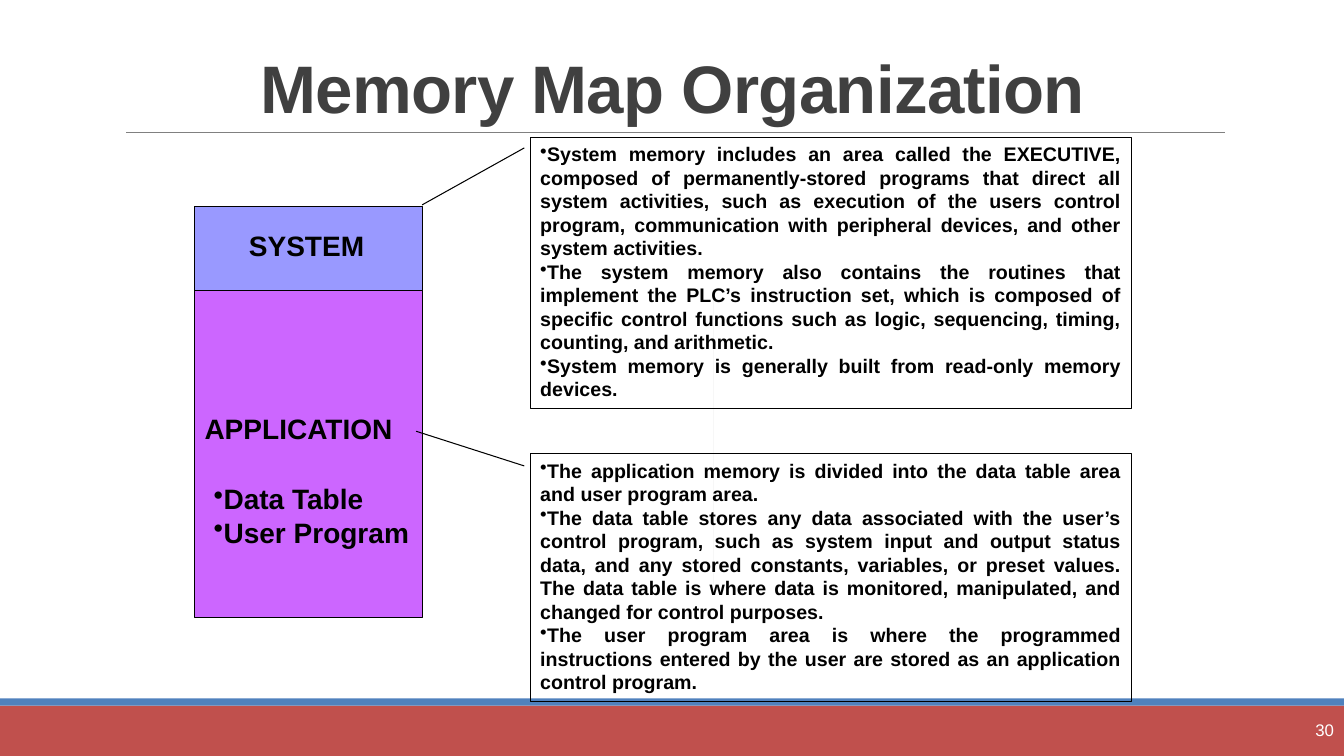
from dataclasses import dataclass

from lxml import etree
from pptx import Presentation
from pptx.dml.color import RGBColor
from pptx.enum.shapes import MSO_CONNECTOR, MSO_SHAPE
from pptx.enum.text import MSO_ANCHOR, MSO_AUTO_SIZE, PP_ALIGN
from pptx.oxml.ns import qn
from pptx.util import Inches, Pt

RECTANGLE = MSO_SHAPE.RECTANGLE
CALLOUT = MSO_SHAPE.LINE_CALLOUT_1
STRAIGHT = MSO_CONNECTOR.STRAIGHT
TOP, MIDDLE, BOTTOM = MSO_ANCHOR.TOP, MSO_ANCHOR.MIDDLE, MSO_ANCHOR.BOTTOM
FIXED, GROW = MSO_AUTO_SIZE.NONE, MSO_AUTO_SIZE.SHAPE_TO_FIT_TEXT
CENTER, RIGHT, JUSTIFY = PP_ALIGN.CENTER, PP_ALIGN.RIGHT, PP_ALIGN.JUSTIFY
TITLE_ONLY = 5


@dataclass(frozen=True)
class Theme:
    font: str = "Arial"
    title_size: float = 48
    label_size: float = 20
    note_size: float = 14
    number_size: float = 12
    title: str = "404040"
    text: str = "000000"
    number: str = "FFFFFF"
    outline: str = "000000"
    rule: str = "808080"
    sliver: str = "C0C0C0"
    footer: str = "C0504D"
    footer_edge: str = "4F81BD"
    system: str = "9999FF"
    application: str = "CC66FF"


class SlideBuilder:
    def __init__(self, slide, theme):
        self.slide = slide
        self.theme = theme

    def set_text(self, tf, lines, size, color, align=JUSTIFY, bold=True, bullets=False):
        tf.text = "\n".join(lines)
        for p in tf.paragraphs:
            p.alignment = align
            if bullets:
                pPr = p._p.get_or_add_pPr()
                pPr.set("marL", "0")
                pPr.set("indent", "0")
                etree.SubElement(pPr, qn("a:buChar")).set("char", "•")
            for r in p.runs:
                r.font.name = self.theme.font
                r.font.size = Pt(size)
                r.font.bold = bold
                r.font.color.rgb = RGBColor.from_string(color)

    def title(self, text, left, top, width, height):
        sp = self.slide.shapes.title
        sp.left, sp.top = Inches(left), Inches(top)
        sp.width, sp.height = Inches(width), Inches(height)
        tf = sp.text_frame
        tf.vertical_anchor = BOTTOM
        tf.auto_size = FIXED
        self.set_text(tf, [text], self.theme.title_size, self.theme.title, CENTER)
        p = tf.paragraphs[0]
        p.line_spacing = 0.85
        p.runs[0]._r.get_or_add_rPr().set("spc", "-50")

    def shape(self, kind, left, top, width, height, fill=None, outlined=True):
        sp = self.slide.shapes.add_shape(
            kind, Inches(left), Inches(top), Inches(width), Inches(height))
        self.paint(sp, fill, outlined)
        return sp

    def paint(self, sp, fill, outlined):
        sp.shadow.inherit = False
        if fill:
            sp.fill.solid()
            sp.fill.fore_color.rgb = RGBColor.from_string(fill)
        else:
            sp.fill.background()
        if outlined:
            sp.line.color.rgb = RGBColor.from_string(self.theme.outline)
            sp.line.width = Pt(0.75)
        else:
            sp.line.fill.background()

    def rule(self, left, right, y):
        line = self.slide.shapes.add_connector(
            STRAIGHT, Inches(left), Inches(y), Inches(right), Inches(y))
        line.line.color.rgb = RGBColor.from_string(self.theme.rule)
        line.line.width = Pt(0.5)
        etree.SubElement(line._element.spPr, qn("a:effectLst"))

    def sliver(self, x, top, bottom):
        """Draw a filled outline that has no width."""
        builder = self.slide.shapes.build_freeform(Inches(x), Inches(top))
        builder.add_line_segments(
            [(Inches(x), Inches(y)) for y in (bottom, bottom - 0.01)], close=True)
        self.paint(builder.convert_to_shape(), self.theme.sliver, False)

    def label(self, lines, left, top, width, height, bullets=False):
        box = self.slide.shapes.add_textbox(
            Inches(left), Inches(top), Inches(width), Inches(height))
        tf = box.text_frame
        tf.word_wrap = False
        tf.auto_size = GROW
        self.set_text(tf, lines, self.theme.label_size, self.theme.text, bullets=bullets)

    def page_number(self, text, left, top, width, height):
        box = self.slide.shapes.add_textbox(
            Inches(left), Inches(top), Inches(width), Inches(height))
        tf = box.text_frame
        tf.word_wrap = True
        tf.vertical_anchor = MIDDLE
        self.set_text(tf, [text], self.theme.number_size, self.theme.number, RIGHT, bold=False)

    def callout(self, lines, left, top, width, height, leader):
        """Draw a bulleted note; leader holds y, x of both ends as shares of its size."""
        sp = self.shape(CALLOUT, left, top, width, height)
        for i, value in enumerate(leader):
            sp.adjustments[i] = value
        tf = sp.text_frame
        tf.word_wrap = True
        tf.auto_size = GROW
        tf.vertical_anchor = TOP
        self.set_text(tf, lines, self.theme.note_size, self.theme.text, bullets=True)


SYSTEM_NOTES = [
    "System memory includes an area called the EXECUTIVE, composed of "
    "permanently-stored programs that direct all system activities, such as "
    "execution of the users control program, communication with peripheral "
    "devices, and other system activities.",
    "The system memory also contains the routines that implement the PLC’s "
    "instruction set, which is composed of specific control functions such as "
    "logic, sequencing, timing, counting, and arithmetic.",
    "System memory is generally built from read-only memory devices.",
]
APPLICATION_NOTES = [
    "The application memory is divided into the data table area and user program area.",
    "The data table stores any data associated with the user’s control program, "
    "such as system input and output status data, and any stored constants, "
    "variables, or preset values. The data table is where data is monitored, "
    "manipulated, and changed for control purposes.",
    "The user program area is where the programmed instructions entered by the "
    "user are stored as an application control program.",
]


def main():
    prs = Presentation()
    prs.slide_width, prs.slide_height = Inches(13.33), Inches(7.5)
    theme = Theme()
    s = SlideBuilder(prs.slides.add_slide(prs.slide_layouts[TITLE_ONLY]), theme)

    s.shape(RECTANGLE, 0, 7, 13.33, 0.5, theme.footer, outlined=False)
    s.shape(RECTANGLE, 0, 6.93, 13.33, 0.07, theme.footer_edge, outlined=False)
    s.rule(1.25, 12.15, 1.31)
    s.title("Memory Map Organization", 1.17, 0.17, 11, 1.14)
    s.page_number("30", 11.9, 7.04, 1.43, 0.4)
    s.sliver(7.08, 2.87, 5.8)

    map_left, map_width = 1.93, 2.26
    s.shape(RECTANGLE, map_left, 2.05, map_width, 0.83, theme.system)
    s.label(["SYSTEM"], 2.37, 2.22, 1.36, 0.44)
    s.shape(RECTANGLE, map_left, 2.88, map_width, 3.25, theme.application)
    s.label(["APPLICATION"], map_left, 4.03, 2.09, 0.44)
    s.label(["Data Table", "User Program"], 2.02, 4.73, 2.15, 0.77, bullets=True)

    note_left, note_width = 5.26, 5.96
    s.callout(SYSTEM_NOTES, note_left, 1.36, note_width, 2.69,
              (0.04, -0.01, 0.25, -0.18))
    s.callout(APPLICATION_NOTES, note_left, 4.5, note_width, 2.46,
              (0.05, -0.01, -0.09, -0.19))

    prs.save("out.pptx")


if __name__ == "__main__":
    main()
